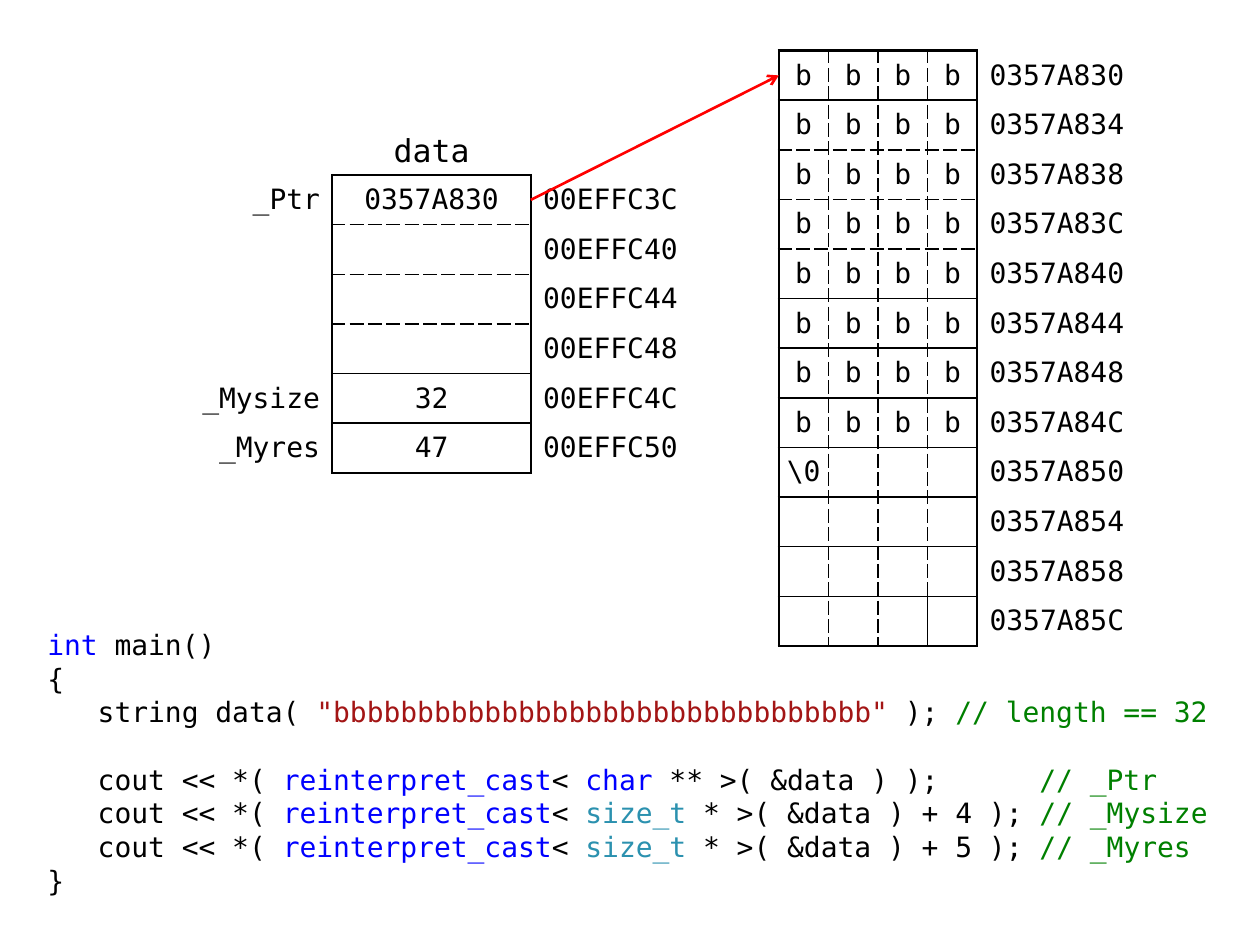
from dataclasses import dataclass

from lxml.etree import SubElement
from pptx import Presentation
from pptx.dml.color import RGBColor
from pptx.enum.shapes import MSO_CONNECTOR
from pptx.enum.text import MSO_ANCHOR, PP_ALIGN
from pptx.oxml.ns import qn
from pptx.util import Cm, Pt


@dataclass(frozen=True)
class Theme:
    """Colours, type sizes and line styles of the slide."""
    font: str = "DejaVu Sans Mono"
    body: int = 16
    head: int = 18
    lead: float = 19.25
    ink: str = "000000"
    key: str = "0000FF"
    kind: str = "2B91AF"
    text: str = "A31515"
    note: str = "008000"
    link: str = "FF0000"
    bold: tuple = (1.5, "solid")
    thin: tuple = (1, "solid")
    dash: tuple = (1, "sysDash")
    plain: str = "{2D5ABB26-0587-4C30-8999-92F81FD0307C}"


LOOK = Theme()
CAST = [("ink", "   cout << *( "), ("key", "reinterpret_cast"), ("ink", "< ")]
CODE = [
    [("key", "int"), ("ink", " main()")],
    [("ink", "{")],
    [("ink", "   string data( "), ("text", f'"{"b" * 32}"'),
     ("ink", " ); "), ("note", "// length == 32")],
    CAST + [("key", "char"), ("ink", " ** >( &data ) );      "),
            ("note", "// _Ptr")],
    CAST + [("kind", "size_t "), ("ink", "* >( &data ) + 4 );"),
            ("note", " // _Mysize")],
    CAST + [("kind", "size_t "), ("ink", "* >( &data ) + 5 );"),
            ("note", " // _Myres")],
    [("ink", "}")],
]
BREAK = 3


def apply(item, **vals):
    """Set each named value on the item."""
    for name, val in vals.items():
        setattr(item, name, val)


def write(para, text, size=LOOK.body, tint=LOOK.ink):
    """Add one styled run to a paragraph."""
    run = para.add_run()
    run.text = text
    apply(run.font, name=LOOK.font, size=Pt(size))
    run.font.color.rgb = RGBColor.from_string(tint)


def edge(cell, side, style):
    """Draw one border of a cell."""
    width, dash = style
    line = SubElement(cell._tc.get_or_add_tcPr(), qn(f"a:ln{side}"), w=str(Pt(width)))
    fill = SubElement(line, qn("a:solidFill"))
    SubElement(fill, qn("a:srgbClr"), val=LOOK.ink)
    SubElement(line, qn("a:prstDash"), val=dash)


def grid(slide, left, top, cols, rows, core, rules, posts, odd=None):
    """Place a table of one-centimetre rows; core is its ruled column range."""
    odd = odd or {}
    frame = slide.shapes.add_table(len(rows), len(cols), Cm(left), Cm(top),
                                   Cm(sum(cols)), Cm(len(rows)))
    table = frame.table
    apply(table, first_row=False, horz_banding=False)
    table._tbl.tblPr.find(qn("a:tableStyleId")).text = LOOK.plain
    for col, width in zip(table.columns, cols):
        col.width = Cm(width)
    for r, row in enumerate(rows):
        table.rows[r].height = Cm(1)
        for c, text in enumerate(row):
            cell = table.cell(r, c)
            inside = c in core
            sides = {"L": odd.get((r, c), posts.get(c)),
                     "R": odd.get((r, c + 1), posts.get(c + 1)),
                     "T": rules[r] if inside else None,
                     "B": rules[r + 1] if inside else None}
            for side, style in sides.items():
                if style:
                    edge(cell, side, style)
            cell.fill.background()
            pad = Cm(0) if inside else Cm(0.25)
            apply(cell, vertical_anchor=MSO_ANCHOR.MIDDLE,
                  margin_left=pad, margin_right=pad,
                  margin_top=Cm(0.1), margin_bottom=Cm(0.1))
            para = cell.text_frame.paragraphs[0]
            para.alignment = (PP_ALIGN.CENTER if inside else
                              PP_ALIGN.RIGHT if c < core.start else PP_ALIGN.LEFT)
            if text:
                write(para, text)


def stack(slide, left, top):
    """Place the string object with its members and heading."""
    names = ["_Ptr", "", "", "", "_Mysize", "_Myres"]
    vals = ["0357A830", "", "", "", "32", "47"]
    rows = [[name, val, f"{0x00EFFC3C + 4 * i:08X}"]
            for i, (name, val) in enumerate(zip(names, vals))]
    rules = [LOOK.bold] + [LOOK.dash] * 3 + [LOOK.thin] * 2 + [LOOK.bold]
    grid(slide, left, top, [3.5, 4, 3.5], rows, range(1, 2), rules,
         {1: LOOK.bold, 2: LOOK.bold})
    box = slide.shapes.add_textbox(Cm(left + 3.5), Cm(top - 1.01), Cm(4), Cm(1))
    box.text_frame.word_wrap = True
    para = box.text_frame.paragraphs[0]
    para.alignment = PP_ALIGN.CENTER
    write(para, "data", LOOK.head)


def heap(slide, left, top):
    """Place the character buffer, four bytes to a row."""
    bytes_ = ["b"] * 32 + ["\\0"] + [""] * 15
    rows = [bytes_[4 * i:4 * i + 4] + [f"{0x0357A830 + 4 * i:08X}"]
            for i in range(12)]
    rules = ([LOOK.bold, LOOK.thin] + [LOOK.dash] * 3 + [LOOK.thin] * 7
             + [LOOK.bold])
    posts = {0: LOOK.bold, 1: LOOK.dash, 2: LOOK.dash, 3: LOOK.dash, 4: LOOK.bold}
    grid(slide, left, top, [1, 1, 1, 1, 3.5], rows, range(4), rules, posts,
         {(11, 3): LOOK.thin})


def arrow(slide, start, end):
    """Draw the pointer from one point to another."""
    line = slide.shapes.add_connector(MSO_CONNECTOR.STRAIGHT,
                                      *map(Cm, start), *map(Cm, end))
    line.line.color.rgb = RGBColor.from_string(LOOK.link)
    line.line.width = Pt(1.5)
    SubElement(line.line._get_or_add_ln(), qn("a:tailEnd"), type="arrow")
    SubElement(line._element.spPr, qn("a:effectLst"))


def code(slide, left, top, width, height):
    """Fill the body placeholder with the program."""
    body = slide.placeholders[1]
    apply(body, left=Cm(left), top=Cm(top), width=Cm(width), height=Cm(height))
    frame = body.text_frame
    apply(frame, word_wrap=True, vertical_anchor=MSO_ANCHOR.TOP)
    for i, parts in enumerate(CODE):
        para = frame.add_paragraph() if i else frame.paragraphs[0]
        apply(para, line_spacing=Pt(LOOK.lead), space_after=Pt(0),
              space_before=Pt(LOOK.lead if i == BREAK else 0))
        props = para._p.get_or_add_pPr()
        props.set("marL", "0")
        props.set("indent", "0")
        SubElement(props, qn("a:buNone"))
        for tint, text in parts:
            write(para, text, tint=getattr(LOOK, tint))


def main():
    """Build and save the slide."""
    deck = Presentation()
    apply(deck, slide_width=Cm(25.4), slide_height=Cm(19.05))
    slide = deck.slides.add_slide(deck.slide_layouts[1])
    title = slide.shapes.title._element
    title.getparent().remove(title)
    code(slide, 0.7, 12.52, 24, 5.5)
    stack(slide, 3.2, 3.53)
    heap(slide, 15.7, 1.02)
    arrow(slide, (10.7, 4.03), (15.7, 1.52))
    deck.save("out.pptx")


if __name__ == "__main__":
    main()
